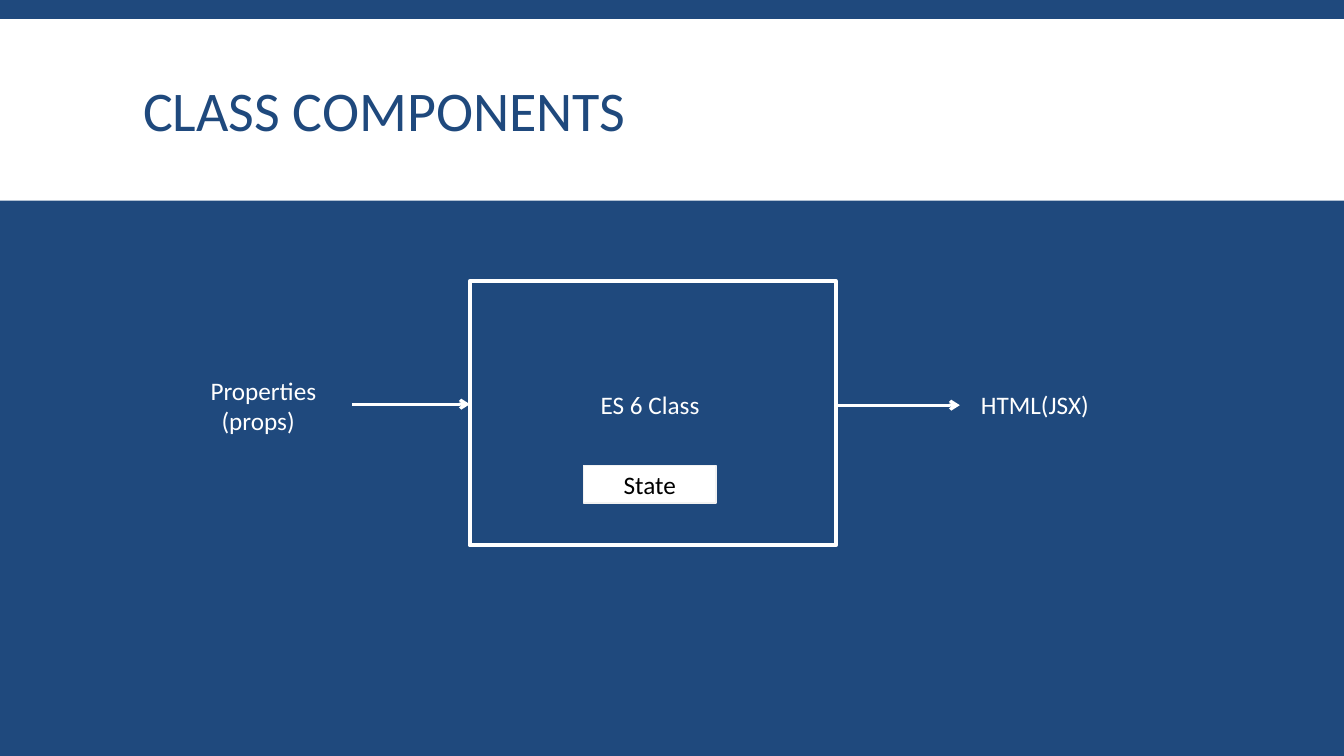
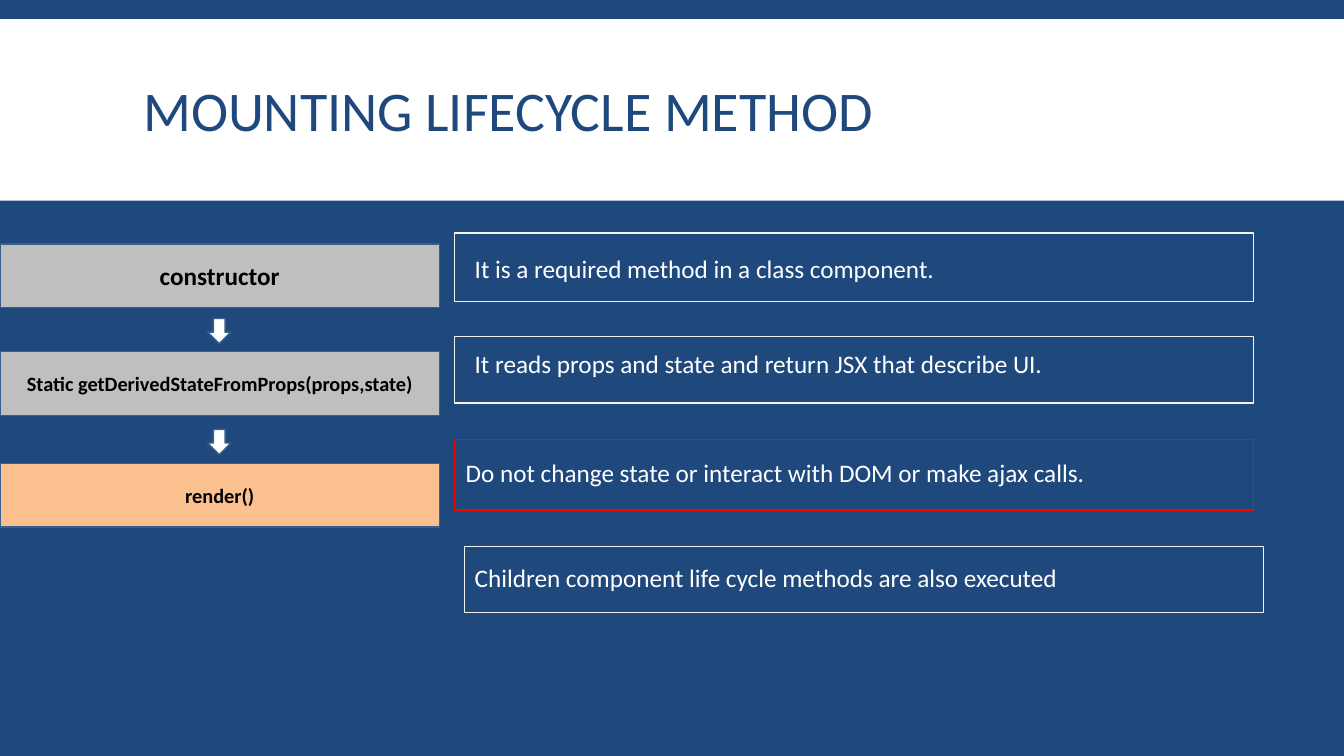
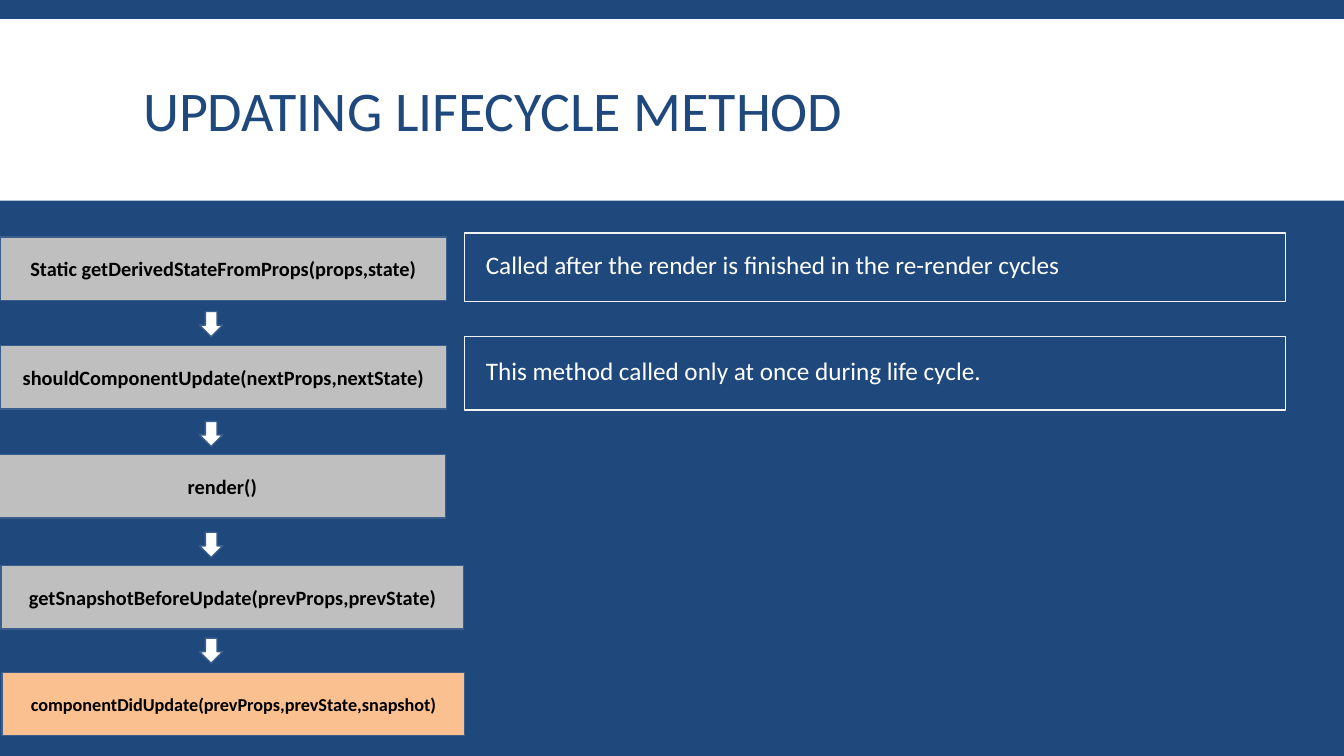
"""Builds three slides on class components and their lifecycle methods."""
import dataclasses
import typing

import lxml.etree
import pptx
import pptx.dml.color
import pptx.enum.shapes
import pptx.enum.text
import pptx.oxml.ns
import pptx.util

PX = 9144
SLIDE_W, SLIDE_H = 1333, 750
FONT = "Calibri"
NAVY, WHITE, BLACK, RED = "1F497D", "FFFFFF", "000000", "FF0000"
PALE, GREY, ORANGE, EDGE = "F2F2F2", "BFBFBF", "FAC090", "3A5F8C"
SHAPE = pptx.enum.shapes.MSO_SHAPE
ANCHOR = pptx.enum.text.MSO_ANCHOR
ALIGN = pptx.enum.text.PP_ALIGN
FIT = pptx.enum.text.MSO_AUTO_SIZE
TITLE_FRAME = {"word_wrap": True, "auto_size": FIT.NONE, "vertical_anchor": ANCHOR.MIDDLE}
TITLE_PARAGRAPH = {"alignment": ALIGN.LEFT, "line_spacing": 0.85}
SHAPE_FRAME = {"word_wrap": True, "vertical_anchor": ANCHOR.MIDDLE}
LABEL_FRAME = {"word_wrap": True, "auto_size": FIT.SHAPE_TO_FIT_TEXT}
STEP_H, ARROW_W, ARROW_H, LABEL_H = 63, 23, 25, 40


class Box(typing.NamedTuple):
    x: int
    y: int
    w: int
    h: int


@dataclasses.dataclass
class Label:
    box: Box
    lines: tuple[str, ...]
    indent: int = 0


@dataclasses.dataclass
class Step:
    text: str
    x: int
    y: int
    w: int
    size: float = 14.5
    fill: str = GREY


@dataclasses.dataclass
class Note:
    panel: Box
    label: Label
    line: str = PALE


@dataclasses.dataclass
class Lifecycle:
    title: str
    steps: list[Step]
    arrow_x: int
    arrow_tops: list[int]
    notes: list[Note]


def note(x: int, y: int, w: int, h: int, text_x: int, text_y: int,
         text_w: int, text: str, line: str = PALE) -> Note:
    return Note(Box(x, y, w, h), Label(Box(text_x, text_y, text_w, LABEL_H), (text,)), line)


STATIC = "Static getDerivedStateFromProps(props,state)"
LIFECYCLES = [
    Lifecycle(
        "MOUNTING LIFECYCLE METHOD",
        [
            Step("constructor", 0, 242, 436, 18),
            Step(STATIC, 0, 349, 436),
            Step("render()", 0, 460, 436, fill=ORANGE),
        ],
        206,
        [316, 426],
        [
            note(451, 231, 792, 68, 461, 246, 485,
                 "It is a required method in a class component."),
            note(451, 334, 792, 66, 461, 341, 596,
                 "It reads props and state and return JSX that describe UI."),
            note(451, 436, 792, 70, 452, 449, 651,
                 "Do not change state or interact with DOM or make ajax calls.", RED),
            note(461, 542, 792, 66, 461, 553, 613,
                 "Children component life cycle methods are also executed"),
        ],
    ),
    Lifecycle(
        "UPDATING LIFECYCLE METHOD",
        [
            Step(STATIC, 0, 235, 443),
            Step("shouldComponentUpdate(nextProps,nextState)", 0, 343, 443),
            Step("render()", -1, 451, 443),
            Step("getSnapshotBeforeUpdate(prevProps,prevState)", 1, 561, 459),
            Step("componentDidUpdate(prevProps,prevState,snapshot)", 2, 667, 459, 13, ORANGE),
        ],
        198,
        [309, 418, 528, 633],
        [
            note(461, 231, 814, 68, 472, 242, 809,
                 "Called after the render is finished in the re-render cycles"),
            note(461, 334, 814, 73, 472, 348, 561,
                 "This method called only at once during life cycle."),
        ],
    ),
]


def px(n: int) -> pptx.util.Emu:
    return pptx.util.Emu(n * PX)


def rgb(value: str) -> pptx.dml.color.RGBColor:
    return pptx.dml.color.RGBColor.from_string(value)


def apply(target: typing.Any, values: dict[str, typing.Any]) -> None:
    for name, value in values.items():
        setattr(target, name, value)


def write(p: typing.Any, text: str, size: float, color: str, bold: bool = False) -> None:
    r = p.add_run()
    r.text = text
    apply(r.font, {"name": FONT, "size": pptx.util.Pt(size), "bold": bold})
    r.font.color.rgb = rgb(color)


def add_shape(s: typing.Any, kind: typing.Any, box: Box, fill: str | None = None,
              line: str | None = None, width: float = 1) -> typing.Any:
    sp = s.shapes.add_shape(kind, *map(px, box))
    sp.shadow.inherit = False
    if fill:
        sp.fill.solid()
        sp.fill.fore_color.rgb = rgb(fill)
    else:
        sp.fill.background()
    if line:
        sp.line.color.rgb = rgb(line)
        sp.line.width = pptx.util.Pt(width)
    else:
        sp.line.fill.background()
    return sp


def add_caption(sp: typing.Any, text: str, size: float, bold: bool) -> None:
    tf = sp.text_frame
    apply(tf, SHAPE_FRAME)
    p = tf.paragraphs[0]
    p.alignment = ALIGN.CENTER
    write(p, text, size, BLACK, bold)


def add_label(s: typing.Any, label: Label) -> None:
    tf = s.shapes.add_textbox(*map(px, label.box)).text_frame
    apply(tf, LABEL_FRAME)
    for i, text in enumerate(label.lines):
        p = tf.add_paragraph() if i else tf.paragraphs[0]
        if i and label.indent:
            p._p.get_or_add_pPr().set("marL", str(px(label.indent)))
        write(p, text, 18, WHITE)


def add_arrow(s: typing.Any, x1: int, x2: int, y: int) -> None:
    cx = s.shapes.add_connector(
        pptx.enum.shapes.MSO_CONNECTOR.STRAIGHT, px(x1), px(y), px(x2), px(y))
    cx.line.color.rgb = rgb(WHITE)
    cx.line.width = pptx.util.Pt(2.25)
    qn = pptx.oxml.ns.qn
    lxml.etree.SubElement(cx.line._get_or_add_ln(), qn("a:tailEnd"), type="arrow")
    lxml.etree.SubElement(cx._element.spPr, qn("a:effectLst"))


def add_slide(prs: typing.Any, title: str) -> typing.Any:
    s = prs.slides.add_slide(prs.slide_layouts[5])
    sp = s.shapes.title
    apply(sp, dict(zip(("left", "top", "width", "height"), map(px, Box(132, 31, 1070, 165)))))
    tf = sp.text_frame
    apply(tf, TITLE_FRAME)
    p = tf.paragraphs[0]
    apply(p, TITLE_PARAGRAPH)
    write(p, title, 40, NAVY)
    return s


def add_band(s: typing.Any) -> None:
    band = add_shape(s, SHAPE.RECTANGLE, Box(0, 19, SLIDE_W, 180), WHITE)
    s.slide_layout.shapes._spTree.insert(2, band._element)


def draw_components(s: typing.Any) -> None:
    add_shape(s, SHAPE.RECTANGLE, Box(466, 279, 363, 262), line=WHITE, width=3)
    add_arrow(s, 349, 466, 401)
    add_arrow(s, 830, 952, 402)
    for label in (
        Label(Box(586, 381, 124, LABEL_H), ("ES 6 Class",)),
        Label(Box(199, 367, 127, 71), ("Properties", "(props)"), 11),
        Label(Box(963, 381, 138, LABEL_H), ("HTML(JSX)",)),
    ):
        add_label(s, label)
    state = add_shape(s, SHAPE.RECTANGLE, Box(579, 462, 131, 37), WHITE, PALE)
    add_caption(state, "State", 18, False)


def draw_lifecycle(s: typing.Any, cycle: Lifecycle) -> None:
    for n in cycle.notes:
        add_shape(s, SHAPE.RECTANGLE, n.panel, line=n.line)
        add_label(s, n.label)
    for step in cycle.steps:
        box = Box(step.x, step.y, step.w, STEP_H)
        add_caption(add_shape(s, SHAPE.RECTANGLE, box, step.fill, EDGE),
                    step.text, step.size, True)
    for top in cycle.arrow_tops:
        add_shape(s, SHAPE.DOWN_ARROW, Box(cycle.arrow_x, top, ARROW_W, ARROW_H), WHITE, EDGE)


def main() -> None:
    prs = pptx.Presentation()
    apply(prs, {"slide_width": px(SLIDE_W), "slide_height": px(SLIDE_H)})
    fill = prs.slide_master.background.fill
    fill.solid()
    fill.fore_color.rgb = rgb(NAVY)
    s = add_slide(prs, "CLASS COMPONENTS")
    add_band(s)
    draw_components(s)
    for cycle in LIFECYCLES:
        draw_lifecycle(add_slide(prs, cycle.title), cycle)
    prs.save("out.pptx")


if __name__ == "__main__":
    main()
